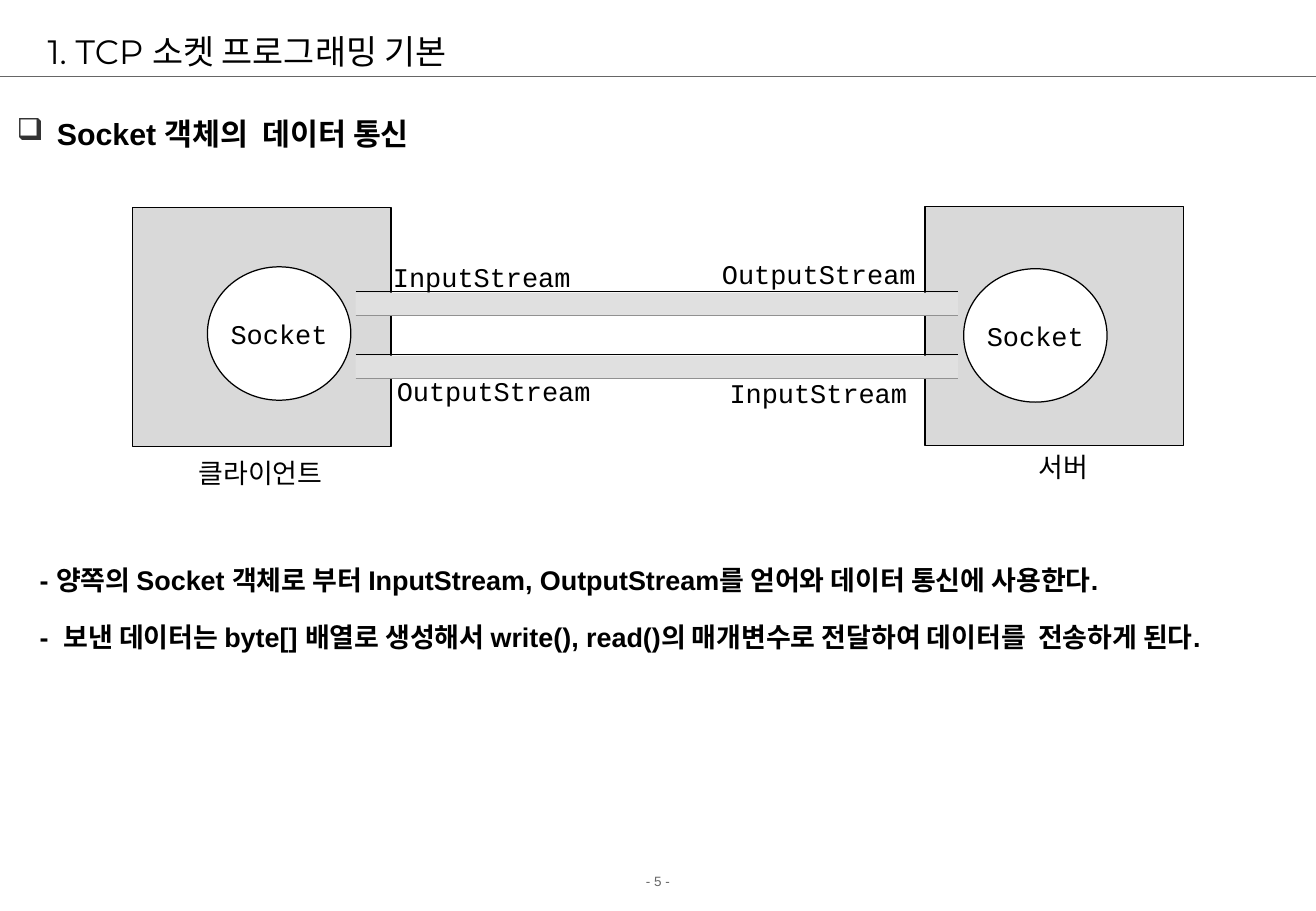
from lxml import etree
from pptx import Presentation
from pptx.dml.color import RGBColor
from pptx.enum import shapes as sh, text as tx
from pptx.oxml.ns import qn
from pptx.util import Cm, Pt

BLACK = RGBColor(0, 0, 0)
DARK = RGBColor(0x66, 0x66, 0x66)
GRAY = RGBColor(0xD9, 0xD9, 0xD9)
PIPE = RGBColor(0xE0, 0xE0, 0xE0)
WHITE = RGBColor(0xFF, 0xFF, 0xFF)
WIDE, HIGH = 27.53, 19.05

MONO = {"name": "Courier New", "size": Pt(16)}
BOLD = {"name": "Arial", "bold": True}
MID = tx.PP_ALIGN.CENTER


def style(item, values):
    for key, value in values.items():
        setattr(item, key, value)


def write(frame, lines, font, color=BLACK, **para):
    for num, line in enumerate(lines):
        par = frame.paragraphs[0] if num == 0 else frame.add_paragraph()
        style(par, para)
        run = par.add_run()
        run.text = line
        style(run.font, font)
        run.font.color.rgb = color
    return frame


def add_text(slide, box, lines, font, color=BLACK, wrap=True, **para):
    frame = slide.shapes.add_textbox(*map(Cm, box)).text_frame
    frame.word_wrap = wrap
    return write(frame, lines, font, color, **para)


def add_label(slide, center, top, label):
    add_text(slide, (center - 2.5, top, 5, 0.94), [label], MONO,
             wrap=False, alignment=MID)


def add_form(slide, kind, box, fill, edge=True):
    form = slide.shapes.add_shape(kind, *map(Cm, box))
    form.shadow.inherit = False
    form.fill.solid()
    form.fill.fore_color.rgb = fill
    if edge:
        form.line.color.rgb = BLACK
        form.line.width = Pt(0.75)
    else:
        form.line.fill.background()
    return form


def add_line(slide, left, top, width, color):
    line = slide.shapes.add_connector(
        sh.MSO_CONNECTOR.STRAIGHT, *map(Cm, (left, top, left + width, top)))
    line.line.color.rgb = color
    line.line.width = Pt(0.75)
    etree.SubElement(line._element.spPr, qn("a:effectLst"))


def add_bullet(par, sign, indent):
    props = par._p.get_or_add_pPr()
    props.set("marL", str(Cm(indent)))
    props.set("indent", str(-Cm(indent)))
    color = etree.SubElement(props, qn("a:buClr"))
    etree.SubElement(color, qn("a:srgbClr"), val="333333")
    etree.SubElement(props, qn("a:buChar"), char=sign)


def add_head(slide, box):
    left, top, width, height = box
    title = slide.shapes.title
    style(title, {"left": Cm(left + 0.74), "top": Cm(top + 0.53),
                  "width": Cm(width - 1.7), "height": Cm(height - 0.53)})
    frame = title.text_frame
    style(frame, {"vertical_anchor": tx.MSO_ANCHOR.MIDDLE,
                  "auto_size": tx.MSO_AUTO_SIZE.NONE})
    write(frame, ["1. TCP 소켓 프로그래밍 기본"],
          {"name": "Montserrat", "size": Pt(20)}, alignment=tx.PP_ALIGN.LEFT)
    add_line(slide, left, top + height, width, DARK)


def add_host(slide, box, ball, name, spot):
    left, top, width, height = box
    add_form(slide, sh.MSO_SHAPE.RECTANGLE, box, GRAY)
    # Socket circle
    disc = add_form(slide, sh.MSO_SHAPE.OVAL,
                    (left + ball[0], top + ball[1], 3, 2.79), WHITE)
    frame = disc.text_frame
    style(frame, dict.fromkeys(
        ("margin_left", "margin_right", "margin_top", "margin_bottom"), 0))
    style(frame, {"vertical_anchor": tx.MSO_ANCHOR.MIDDLE, "word_wrap": False})
    write(frame, ["Socket"], MONO, alignment=MID)
    # Host name
    add_label(slide, left + spot[0], top + spot[1], name)


def add_pipe(slide, box):
    left, top, width, height = box
    for edge in (top, top + height):
        add_line(slide, left, edge, width, BLACK)
    add_form(slide, sh.MSO_SHAPE.RECTANGLE,
             (left, top + 0.02, width, height - 0.02), PIPE, edge=False)


def add_scheme(slide, box):
    left, top, width, height = box
    side = 5.41
    # Client and server
    add_host(slide, (left, top + 0.02, side, height), (1.57, 1.24),
             "클라이언트", (2.68, 5.08))
    add_host(slide, (left + width - side, top, side, height), (0.81, 1.3),
             "서버", (2.89, 4.98))
    # Stream names
    for x, y, name in ((7.31, 1.01, "InputStream"),
                       (14.36, 0.94, "OutputStream"),
                       (7.56, 3.38, "OutputStream"),
                       (14.35, 3.43, "InputStream")):
        add_label(slide, left + x, top + y, name)
    # Stream pipes
    for y in (1.78, 3.1):
        add_pipe(slide, (left + 4.67, top + y, 12.6, 0.5))


def add_topic(slide, box):
    frame = add_text(slide, box, ["Socket 객체의  데이터 통신"],
                     {**BOLD, "size": Pt(18)}, line_spacing=1.5)
    add_bullet(frame.paragraphs[0], "❑", 0.84)


def add_notes(slide, box):
    lines = [
        "- 양쪽의 Socket 객체로 부터 InputStream, OutputStream를 얻어와 "
        "데이터 통신에 사용한다.",
        "-  보낸 데이터는 byte[] 배열로 생성해서 write(), read()의 "
        "매개변수로 전달하여 데이터를  전송하게 된다.",
    ]
    add_text(slide, box, lines, {**BOLD, "size": Pt(16)},
             line_spacing=1.5, space_before=Pt(5))


def add_foot(slide, box):
    add_text(slide, box, ["- 5 -"], {"name": "Arial", "size": Pt(8)}, DARK,
             alignment=MID)


def main():
    deck = Presentation()
    style(deck, {"slide_width": Cm(WIDE), "slide_height": Cm(HIGH)})
    slide = deck.slides.add_slide(deck.slide_layouts[5])
    add_head(slide, (0, 0, WIDE, 1.6))
    add_topic(slide, (0.1, 1.9, 27.4, 1.4))
    add_scheme(slide, (2.77, 4.32, 21.99, 5))
    add_notes(slide, (0.58, 11.33, 26.9, 2.6))
    add_foot(slide, (0, 18.14, WIDE, 0.61))
    deck.save("out.pptx")


if __name__ == "__main__":
    main()
